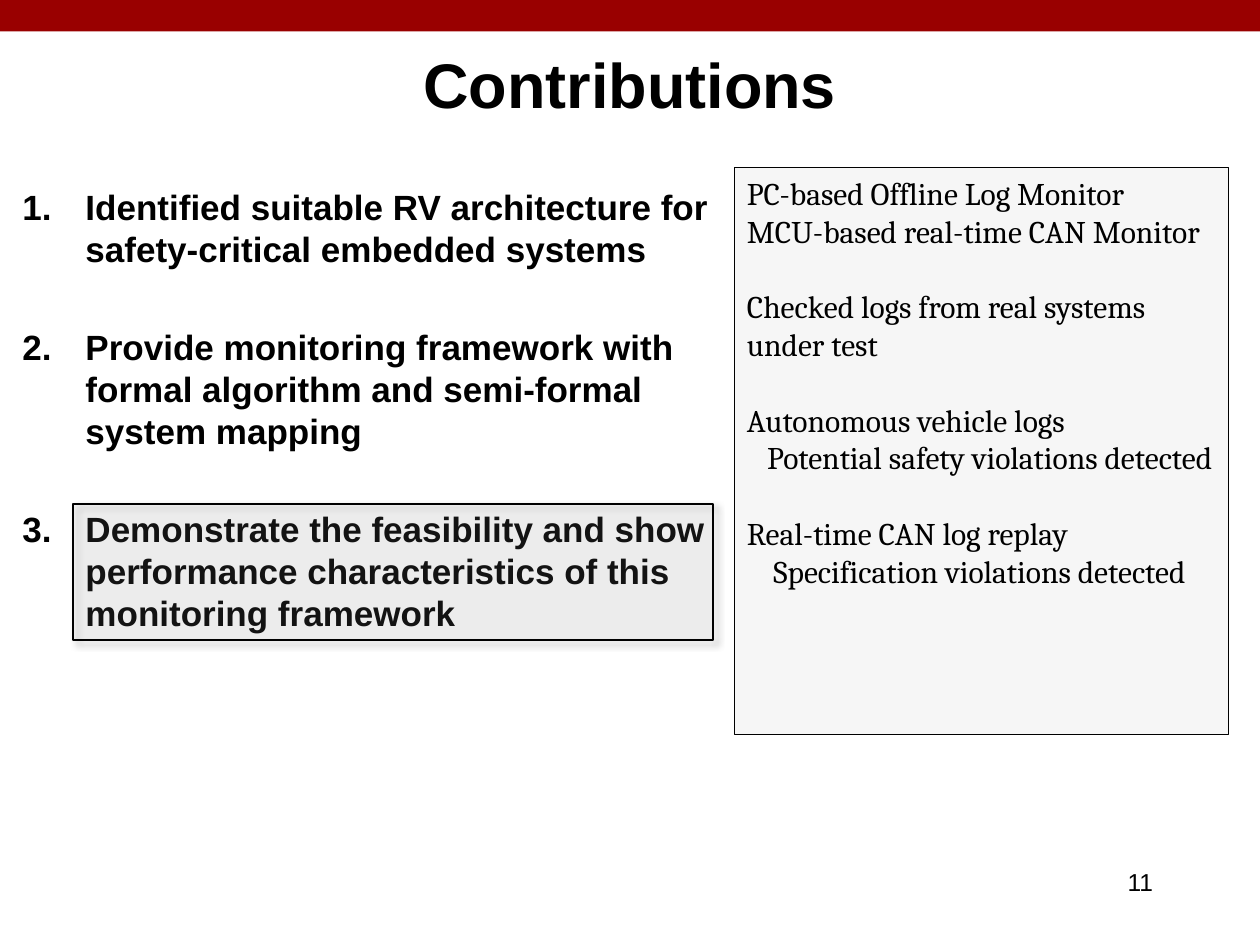
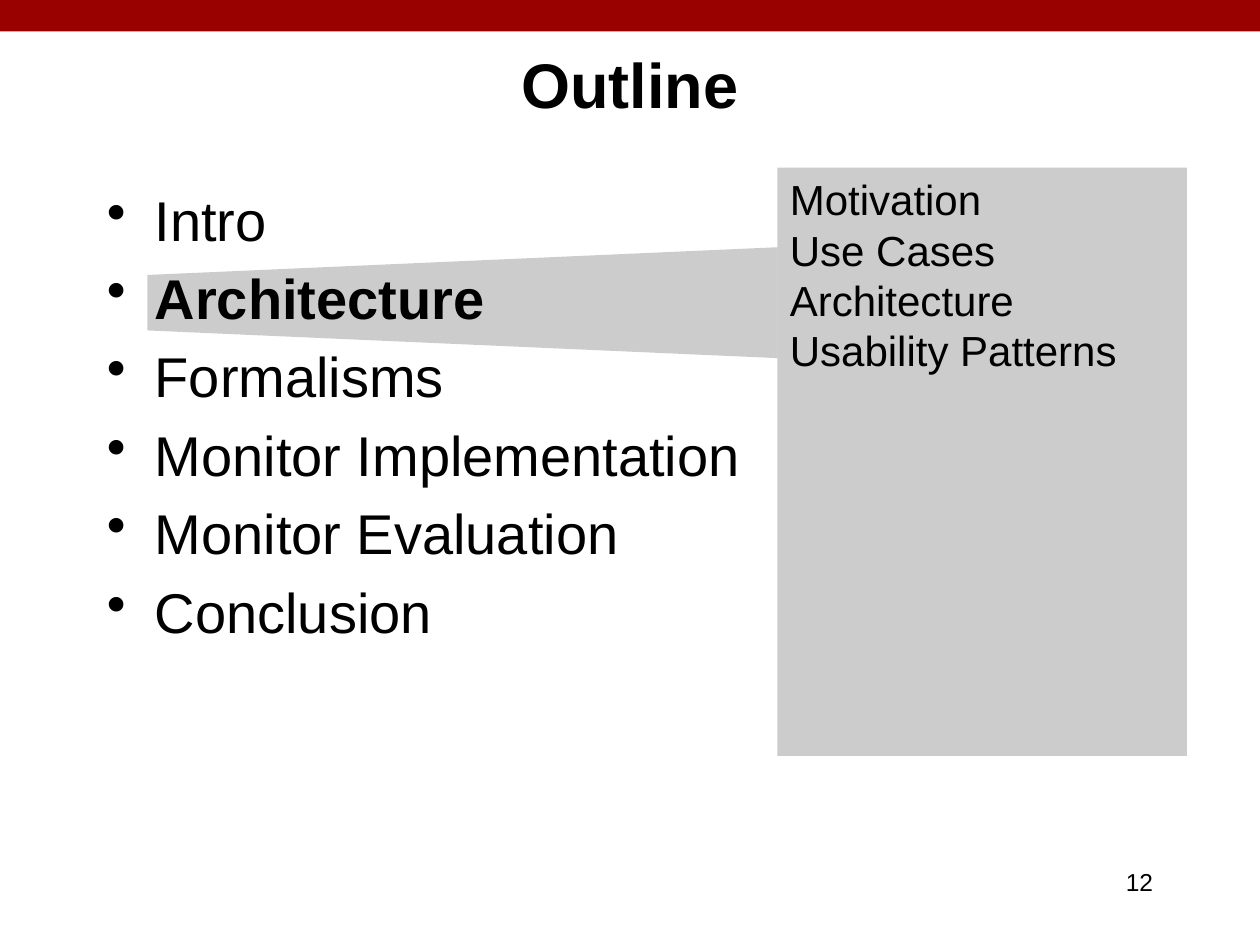
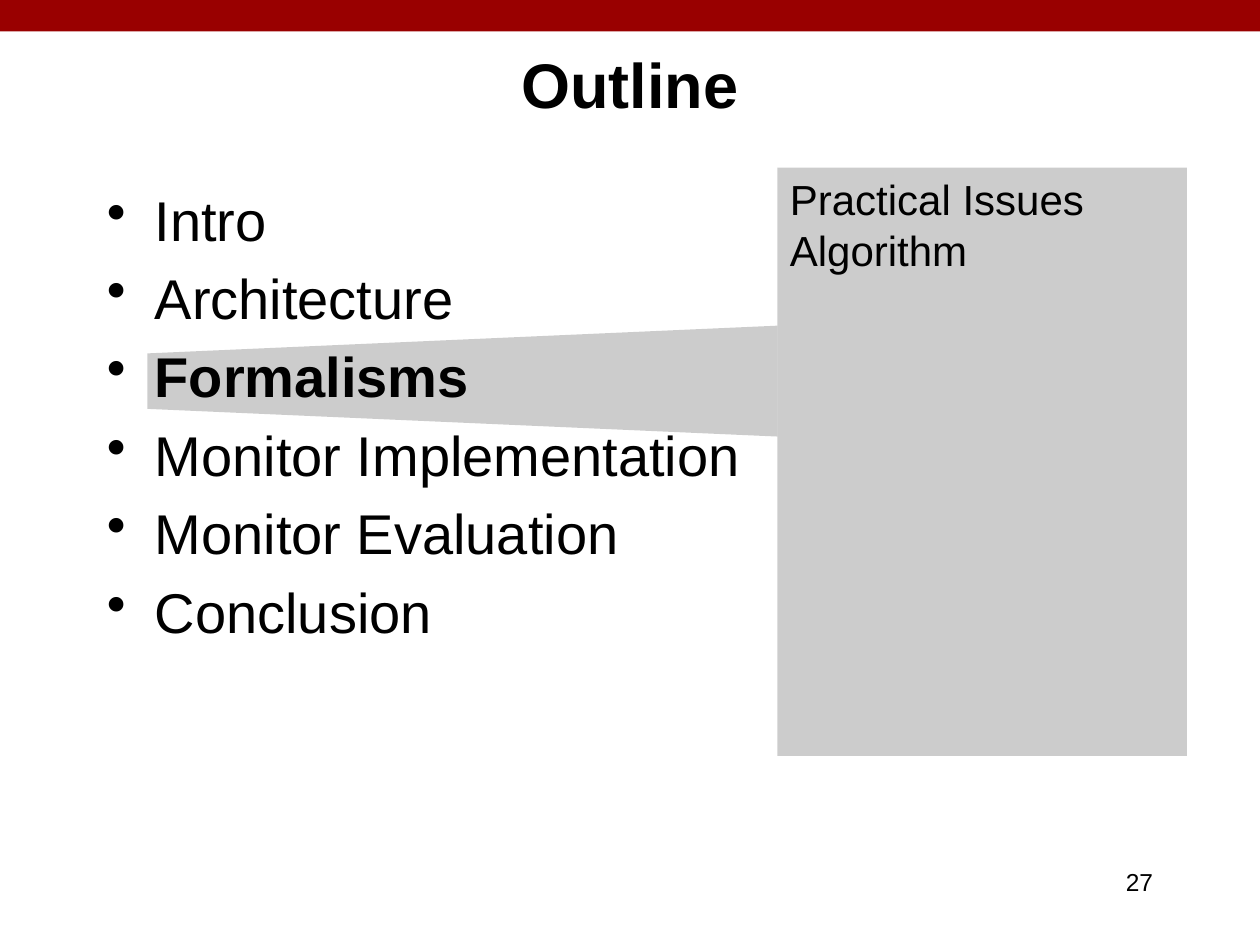
from dataclasses import dataclass

from lxml.etree import SubElement
from pptx import Presentation
from pptx.dml.color import RGBColor
from pptx.enum.shapes import MSO_SHAPE
from pptx.enum.text import MSO_ANCHOR, PP_ALIGN
from pptx.oxml.ns import qn
from pptx.util import Inches, Pt

BAND_RED = "990000"
BLACK = "000000"
PANEL_GREY = "808080"
BOX_GREY = "B2B2B2"
LINE_FACTOR = 1.2
TOPIC_SIZE = 32
TOPIC_GAP = 6.4
TOPIC_PITCH = (TOPIC_SIZE * LINE_FACTOR + TOPIC_GAP) / 72
TOPICS = ["Intro", "Architecture", "Formalisms", "Monitor Implementation",
          "Monitor Evaluation", "Conclusion"]


@dataclass(frozen=True)
class Area:
    left: float
    top: float
    width: float
    height: float

    def lengths(self):
        return [Inches(n) for n in (self.left, self.top, self.width, self.height)]


@dataclass(frozen=True)
class TextStyle:
    size: float
    font: str = "Arial"
    bold: bool = False
    align: PP_ALIGN = PP_ALIGN.LEFT
    anchor: MSO_ANCHOR = MSO_ANCHOR.TOP
    hanging: float = 0
    bullet: str = ""
    numbered: bool = False


@dataclass(frozen=True)
class Line:
    text: str
    gap: float = 0
    indent: float = 0
    bold: bool = False


@dataclass(frozen=True)
class OutlinePage:
    current: str
    details: list[str]
    number: int


TITLE = TextStyle(36, bold=True, align=PP_ALIGN.CENTER, anchor=MSO_ANCHOR.MIDDLE)
PAGE_NUMBER = TextStyle(14, align=PP_ALIGN.RIGHT)
CLAIM = TextStyle(20, bold=True, hanging=0.5, numbered=True)
EVIDENCE = TextStyle(18, font="Cambria")
TOPIC = TextStyle(TOPIC_SIZE, hanging=0.38, bullet="•")
DETAIL = TextStyle(24)

CLAIMS = [
    Line("Identified suitable RV architecture for safety-critical embedded systems"),
    Line("Provide monitoring framework with formal algorithm and semi-formal "
         "system mapping", gap=32),
    Line("Demonstrate the feasibility and show performance characteristics of "
         "this monitoring framework", gap=32),
]
EVIDENCE_GAP = EVIDENCE.size * LINE_FACTOR
EVIDENCE_LINES = [
    Line("PC-based Offline Log Monitor"),
    Line("MCU-based real-time CAN Monitor"),
    Line("Checked logs from real systems under test", gap=EVIDENCE_GAP),
    Line("Autonomous vehicle logs", gap=EVIDENCE_GAP),
    Line("Potential safety violations detected", indent=0.16),
    Line("Real-time CAN log replay", gap=EVIDENCE_GAP),
    Line("Specification violations detected", indent=0.21),
]
OUTLINES = [
    OutlinePage("Architecture",
                ["Motivation", "Use Cases", "Architecture", "Usability Patterns"], 12),
    OutlinePage("Formalisms", ["Practical Issues", "Algorithm"], 27),
]


def color(value: str) -> RGBColor:
    return RGBColor.from_string(value)


def write(shape, lines: list[Line], style: TextStyle) -> None:
    frame = shape.text_frame
    frame.word_wrap = True
    frame.vertical_anchor = style.anchor
    for index, line in enumerate(lines):
        para = frame.add_paragraph() if index else frame.paragraphs[0]
        properties = para._p.get_or_add_pPr()
        properties.set("marL", str(Inches(style.hanging + line.indent)))
        properties.set("indent", str(-Inches(style.hanging)))
        if style.numbered:
            SubElement(properties, qn("a:buAutoNum"), type="arabicPeriod")
        elif style.bullet:
            SubElement(properties, qn("a:buChar"), char=style.bullet)
        para.alignment = style.align
        para.line_spacing = Pt(style.size * LINE_FACTOR)
        if line.gap:
            para.space_before = Pt(line.gap)
        span = para.add_run()
        span.text = line.text
        span.font.name = style.font
        span.font.size = Pt(style.size)
        span.font.bold = style.bold or line.bold
        span.font.color.rgb = color(BLACK)


def add_text(page, area: Area, lines: list[Line], style: TextStyle) -> None:
    write(page.shapes.add_textbox(*area.lengths()), lines, style)


def add_block(page, area: Area, fill: str, opacity: int = 100,
              outlined: bool = False, kind: MSO_SHAPE = MSO_SHAPE.RECTANGLE):
    """Draw a filled shape; opacity is a percentage."""
    block = page.shapes.add_shape(kind, *area.lengths())
    block.shadow.inherit = False
    block.fill.solid()
    block.fill.fore_color.rgb = color(fill)
    if opacity < 100:
        tint = block._element.spPr.find(qn("a:solidFill")).find(qn("a:srgbClr"))
        SubElement(tint, qn("a:alpha"), val=str(opacity * 1000))
    if outlined:
        block.line.color.rgb = color(BLACK)
        block.line.width = Pt(0.75)
    else:
        block.line.fill.background()
    return block


def add_shadow(block) -> None:
    effects = block._element.spPr.find(qn("a:effectLst"))
    shadow = SubElement(effects, qn("a:outerShdw"), blurRad=str(Pt(4)),
                        dist=str(Pt(3)), dir=str(45 * 60000), rotWithShape="0")
    tint = SubElement(shadow, qn("a:srgbClr"), val=BLACK)
    SubElement(tint, qn("a:alpha"), val="40000")


def add_page(deck, title: str, number: int):
    """Add a slide with the red band, its title and its number."""
    page = deck.slides.add_slide(deck.slide_layouts[6])
    add_block(page, Area(0, 0, 10, 0.25), BAND_RED)
    add_text(page, Area(0.75, 0.25, 8.5, 0.83), [Line(title)], TITLE)
    add_text(page, Area(7.17, 6.83, 2.08, 0.5), [Line(str(number))], PAGE_NUMBER)
    return page


def add_contributions(deck) -> None:
    page = add_page(deck, "Contributions", 11)
    add_text(page, Area(0.08, 1.42, 5.75, 5.08), CLAIMS, CLAIM)
    highlight = add_block(page, Area(0.58, 4, 5.08, 1.08), BOX_GREY, 11, outlined=True)
    add_shadow(highlight)
    panel = add_block(page, Area(5.83, 1.33, 3.92, 4.5), BOX_GREY, 11, outlined=True)
    write(panel, EVIDENCE_LINES, EVIDENCE)


def add_outline(deck, outline: OutlinePage) -> None:
    page = add_page(deck, "Outline", outline.number)
    panel = add_block(page, Area(6.17, 1.33, 3.25, 4.67), PANEL_GREY, 40)
    write(panel, [Line(detail) for detail in outline.details], DETAIL)
    beam_top = -0.72 + TOPIC_PITCH * TOPICS.index(outline.current)
    beam = add_block(page, Area(3.23, beam_top, 0.88, 5), PANEL_GREY, 40,
                     kind=MSO_SHAPE.TRAPEZOID)
    beam.rotation = 270
    topics = [Line(topic, gap=TOPIC_GAP if index else 0, bold=topic == outline.current)
              for index, topic in enumerate(TOPICS)]
    add_text(page, Area(0.75, 1.42, 8.5, 5), topics, TOPIC)


def main() -> None:
    deck = Presentation()
    deck.slide_width, deck.slide_height = Inches(10), Inches(7.5)
    add_contributions(deck)
    for outline in OUTLINES:
        add_outline(deck, outline)
    deck.save("out.pptx")


if __name__ == "__main__":
    main()
